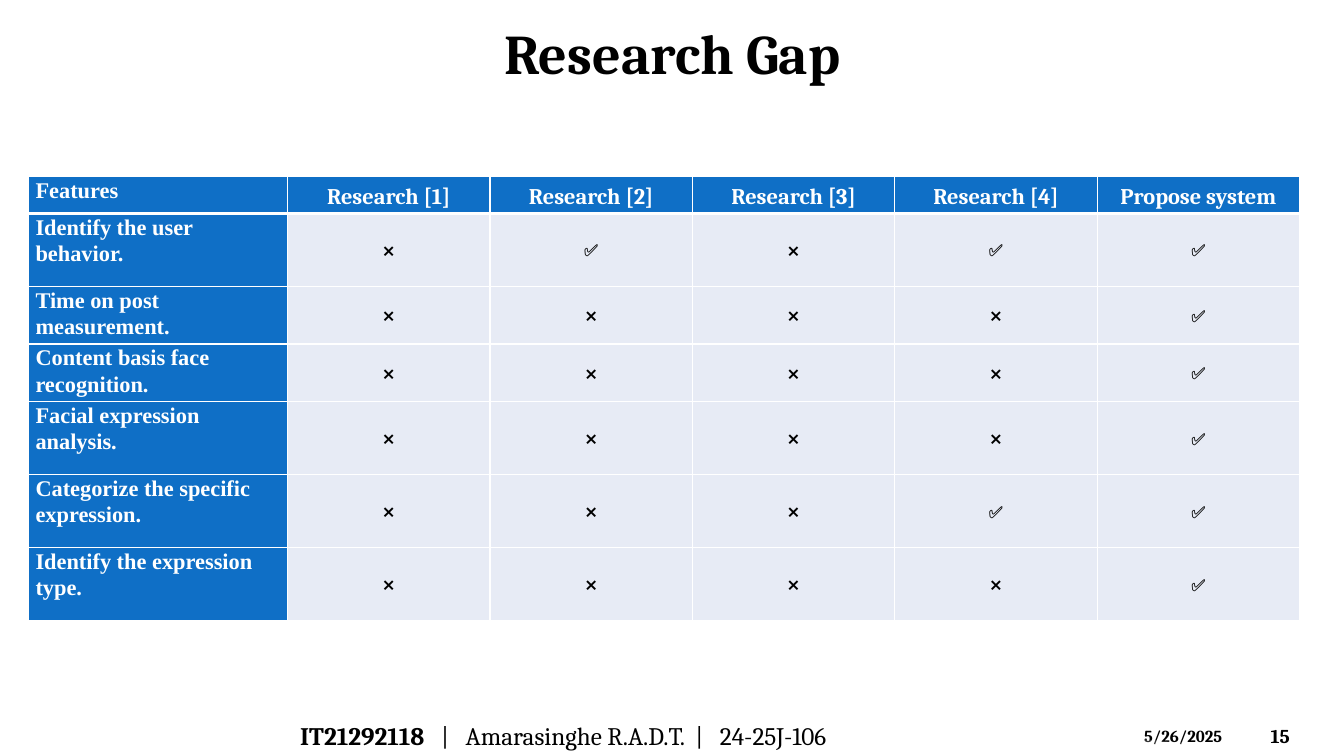
from dataclasses import dataclass

from lxml.etree import SubElement
from pptx import Presentation
from pptx.dml.color import RGBColor
from pptx.enum.shapes import MSO_SHAPE as Preset
from pptx.enum.text import MSO_ANCHOR as Anchor, PP_ALIGN as Align
from pptx.oxml.ns import qn
from pptx.util import Inches, Pt


@dataclass(frozen=True)
class Theme:
    ink: str = "000000"
    paper: str = "FFFFFF"
    accent: str = "0F6FC6"
    tint: str = "E7EBF5"
    serif: str = "Cambria"
    feature_face: str = "Times New Roman"
    mark_face: str = "Cabin"
    title: int = 40
    footer: int = 18
    heading: int = 16
    number: int = 14
    small: int = 12
    veil_opacity: int = 20


THEME = Theme()
WIDTH, HEIGHT = Inches(13.33), Inches(7.5)
MARGIN = 2.12
FEATURE_COL, STUDY_COL = 19.28, 15.06
ROWS = (4.9, 9.67, 6.67, 7.2, 9.67, 9.67, 9.67)
HEADINGS = ("Features", "Research [1]", "Research [2]", "Research [3]",
            "Research [4]", "Propose system")
SUPPORT = {
    "Identify the user behavior.": "❌✅❌✅✅",
    "Time on post measurement.": "❌❌❌❌✅",
    "Content basis face recognition.": "❌❌❌❌✅",
    "Facial expression analysis.": "❌❌❌❌✅",
    "Categorize the specific expression.": "❌❌❌✅✅",
    "Identify the expression type.": "❌❌❌❌✅",
}


def apply(target, values):
    for attribute, value in values.items():
        setattr(target, attribute, value)


def across(percent):
    return round(percent * WIDTH / 100)


def down(percent):
    return round(percent * HEIGHT / 100)


def box(left, top, width, height):
    return {"left": across(left), "top": down(top),
            "width": across(width), "height": down(height)}


def write(paragraph, text, size, face=THEME.serif, color=THEME.ink, bold=True):
    run = paragraph.add_run()
    run.text = text
    apply(run.font, {"size": Pt(size), "name": face, "bold": bold})
    run.font.color.rgb = RGBColor.from_string(color)


def add_title(slide, text):
    title = slide.shapes.title
    apply(title, box(MARGIN, 0.6, 95.8, 12.67))
    apply(title.text_frame, {"vertical_anchor": Anchor.MIDDLE, "word_wrap": True})
    heading = title.text_frame.paragraphs[0]
    heading.alignment = Align.CENTER
    write(heading, text, THEME.title)


def add_label(slide, place, runs, size, anchor=Anchor.MIDDLE):
    frame = slide.shapes.add_textbox(**place).text_frame
    apply(frame, {"word_wrap": True, "vertical_anchor": anchor})
    for text, bold in runs:
        write(frame.paragraphs[0], text, size, bold=bold)


def add_veil(slide, top, peak):
    veil = slide.shapes.add_shape(Preset.ISOSCELES_TRIANGLE,
                                  **box(0, top, 100, 100 - top))
    veil.adjustments[0] = peak
    veil.shadow.inherit = False
    veil.line.fill.background()
    veil.fill.solid()
    veil.fill.fore_color.rgb = RGBColor.from_string(THEME.paper)
    color = veil.fill._xPr.find(qn("a:solidFill"))[0]
    SubElement(color, qn("a:alpha"), val=str(THEME.veil_opacity * 1000))


def add_borders(cell, bottom):
    properties = cell._tc.get_or_add_tcPr()
    for side, points in {"L": 1, "R": 1, "T": 1, "B": bottom}.items():
        line = SubElement(properties, qn(f"a:ln{side}"), w=str(Pt(points)))
        fill = SubElement(line, qn("a:solidFill"))
        SubElement(fill, qn("a:srgbClr"), val=THEME.paper)


def fill_cell(cell, text, fill, centred, bottom, style):
    apply(cell, {
        "margin_left": Inches(0.07), "margin_right": Inches(0.07),
        "margin_top": 0, "margin_bottom": 0,
        "vertical_anchor": Anchor.MIDDLE if centred else Anchor.TOP,
    })
    add_borders(cell, bottom)
    cell.fill.solid()
    cell.fill.fore_color.rgb = RGBColor.from_string(fill)
    paragraph = cell.text_frame.paragraphs[0]
    apply(paragraph, {
        "alignment": Align.CENTER if centred else Align.LEFT,
        "line_spacing": 1.16 if centred else 1.07, "space_after": Pt(8),
    })
    write(paragraph, text, **style)


def cell_style(row, column, text):
    if row and column:
        missing = text == "❌"
        return {"size": THEME.small, "bold": missing,
                "face": THEME.mark_face if missing else THEME.serif}
    return {"size": THEME.heading, "color": THEME.paper,
            "face": THEME.serif if column else THEME.feature_face}


def add_comparison(slide):
    columns = [FEATURE_COL] + [STUDY_COL] * (len(HEADINGS) - 1)
    place = box(MARGIN, 23.33, sum(columns), sum(ROWS))
    table = slide.shapes.add_table(len(ROWS), len(columns), **place).table
    for column, share in zip(table.columns, columns):
        column.width = across(share)
    for row, share in zip(table.rows, ROWS):
        row.height = down(share)
    content = [HEADINGS] + [(feature, *marks) for feature, marks in SUPPORT.items()]
    for r, texts in enumerate(content):
        for c, text in enumerate(texts):
            fill = THEME.tint if r and c else THEME.accent
            fill_cell(table.cell(r, c), text, fill, c > 0, 1 if r else 3,
                      cell_style(r, c, text))


def main():
    deck = Presentation()
    apply(deck, {"slide_width": WIDTH, "slide_height": HEIGHT})
    slide = deck.slides.add_slide(deck.slide_layouts[5])
    add_title(slide, "Research Gap")
    add_label(slide, box(93.8, 94.63, 5.55, 5.3), [("15", True)], THEME.number)
    add_label(slide, box(84.4, 95.3, 8.8, 4), [("5/26/2025", True)],
              THEME.small, Anchor.TOP)
    add_veil(slide, 94.53, 0.63)
    add_veil(slide, 97.33, 0.39)
    add_label(slide, box(21.6, 94.6, 55.9, 5.3),
              [("IT21292118", True),
               ("   |   Amarasinghe R.A.D.T.  |   24-25J-106", False)], THEME.footer)
    add_comparison(slide)
    deck.save("out.pptx")


if __name__ == "__main__":
    main()
